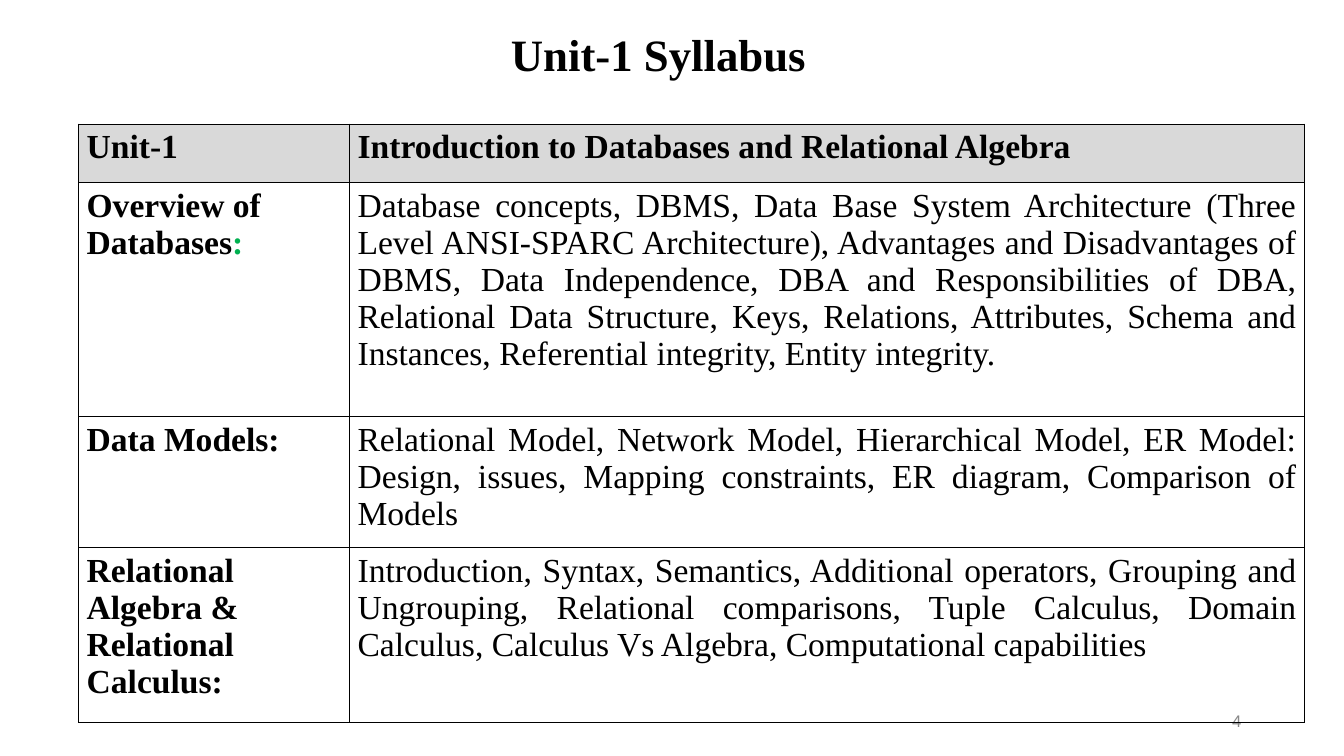
from lxml.etree import SubElement
from pptx import Presentation
from pptx.dml.color import RGBColor
from pptx.enum.text import MSO_ANCHOR, PP_ALIGN as Align
from pptx.oxml.ns import qn
from pptx.util import Inches, Pt

WIDTH, HEIGHT = 13.34, 7.5
SERIF, SANS = "Times New Roman", "Arial"
BLACK, GREEN, GRAY, HEADER_FILL = "000000", "00B050", "898989", "D9D9D9"
COLUMN_WIDTHS = (2.69, 9.48)
ROW_HEIGHTS = (0.58, 2.32, 1.2, 1.74)
SYLLABUS = (
    ("Unit-1", "Introduction to Databases and Relational Algebra"),
    ("Overview of Databases",
     "Database concepts, DBMS, Data Base System Architecture (Three Level ANSI-SPARC "
     "Architecture), Advantages and Disadvantages of DBMS, Data Independence, DBA and "
     "Responsibilities of DBA, Relational Data Structure, Keys, Relations, Attributes, "
     "Schema and Instances, Referential integrity, Entity integrity."),
    ("Data Models:",
     "Relational Model, Network Model, Hierarchical Model, ER Model: Design, issues, "
     "Mapping constraints, ER diagram, Comparison of Models"),
    ("Relational Algebra & Relational Calculus:",
     "Introduction, Syntax, Semantics, Additional operators, Grouping and Ungrouping, "
     "Relational comparisons, Tuple Calculus, Domain Calculus, Calculus Vs Algebra, "
     "Computational capabilities"),
)


def rgb(value):
    """Turn a hex string into a colour."""
    return RGBColor.from_string(value)


def write(paragraph, text, size=24, font=SERIF, color=BLACK, bold=False, align=Align.LEFT):
    """Append a formatted run to a paragraph."""
    paragraph.alignment = align
    run = paragraph.add_run()
    run.text = text
    run.font.size, run.font.name, run.font.bold = Pt(size), font, bold
    run.font.color.rgb = rgb(color)


def add_label(slide, text, left, top, width, height, **text_format):
    """Add a vertically centred text box placed by shares of the slide's size."""
    box = slide.shapes.add_textbox(Inches(left * WIDTH), Inches(top * HEIGHT),
                                   Inches(width * WIDTH), Inches(height * HEIGHT))
    frame = box.text_frame
    frame.word_wrap = True
    frame.vertical_anchor = MSO_ANCHOR.MIDDLE
    write(frame.paragraphs[0], text, **text_format)
    return frame.paragraphs[0]


def style_cell(cell, fill):
    """Set the margins, thin black borders and fill of a cell."""
    cell.margin_left = cell.margin_right = Inches(0.08)
    cell.margin_top = cell.margin_bottom = Inches(0.05)
    properties = cell._tc.get_or_add_tcPr()
    for side in ("lnL", "lnR", "lnT", "lnB"):
        border = SubElement(properties, qn(f"a:{side}"), w=str(Pt(0.45)))
        solid = SubElement(border, qn("a:solidFill"))
        SubElement(solid, qn("a:srgbClr"), val=BLACK)
    if fill:
        cell.fill.solid()
        cell.fill.fore_color.rgb = rgb(fill)
    else:
        cell.fill.background()


def add_syllabus(slide):
    """Add the syllabus table with a shaded header row and bold topics."""
    frame = slide.shapes.add_table(len(ROW_HEIGHTS), len(COLUMN_WIDTHS),
                                   Inches(0.78), Inches(1.23),
                                   Inches(sum(COLUMN_WIDTHS)), Inches(sum(ROW_HEIGHTS)))
    table = frame.table
    table.horz_banding = False
    for column, width in zip(table.columns, COLUMN_WIDTHS):
        column.width = Inches(width)
    for row, height in zip(table.rows, ROW_HEIGHTS):
        row.height = Inches(height)
    for i, texts in enumerate(SYLLABUS):
        header = i == 0
        for j, text in enumerate(texts):
            cell, topic = table.cell(i, j), j == 0
            style_cell(cell, HEADER_FILL if header else None)
            align = Align.LEFT if topic and not header else Align.JUSTIFY
            write(cell.text_frame.paragraphs[0], text, bold=header or topic, align=align)
    write(table.cell(1, 0).text_frame.paragraphs[0], ":", color=GREEN, bold=True)


def main():
    """Build the syllabus slide and save it."""
    presentation = Presentation()
    presentation.slide_width, presentation.slide_height = Inches(WIDTH), Inches(HEIGHT)
    slide = presentation.slides.add_slide(presentation.slide_layouts[6])
    title = add_label(slide, "Unit-1 Syllabus", 0.06, 0.013, 0.86, 0.125,
                      size=32, bold=True, align=Align.CENTER)
    title.line_spacing = 0.9
    add_label(slide, "4", 0.706, 0.927, 0.225, 0.053,
              size=12, font=SANS, color=GRAY, align=Align.RIGHT)
    add_syllabus(slide)
    presentation.save("out.pptx")


if __name__ == "__main__":
    main()
